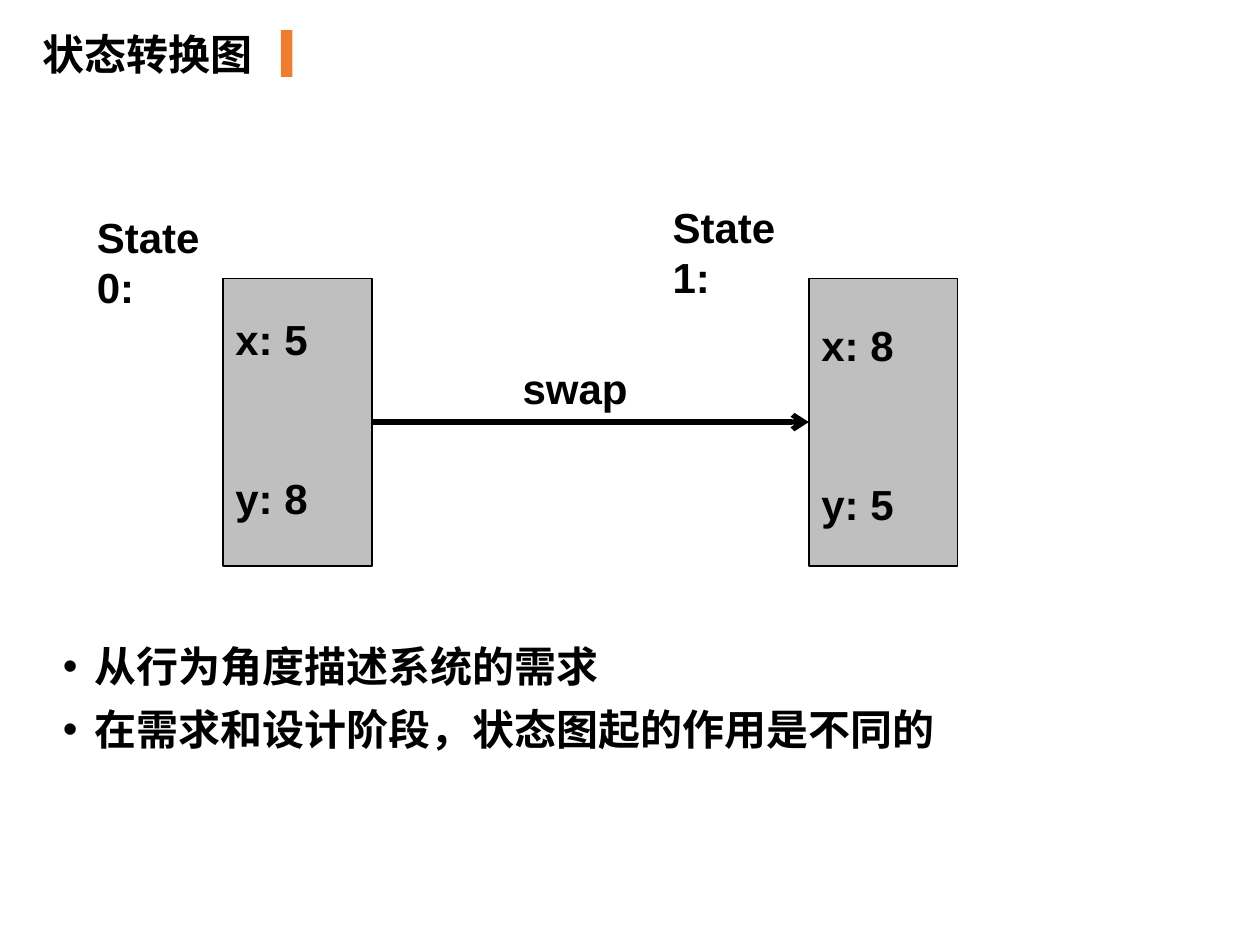
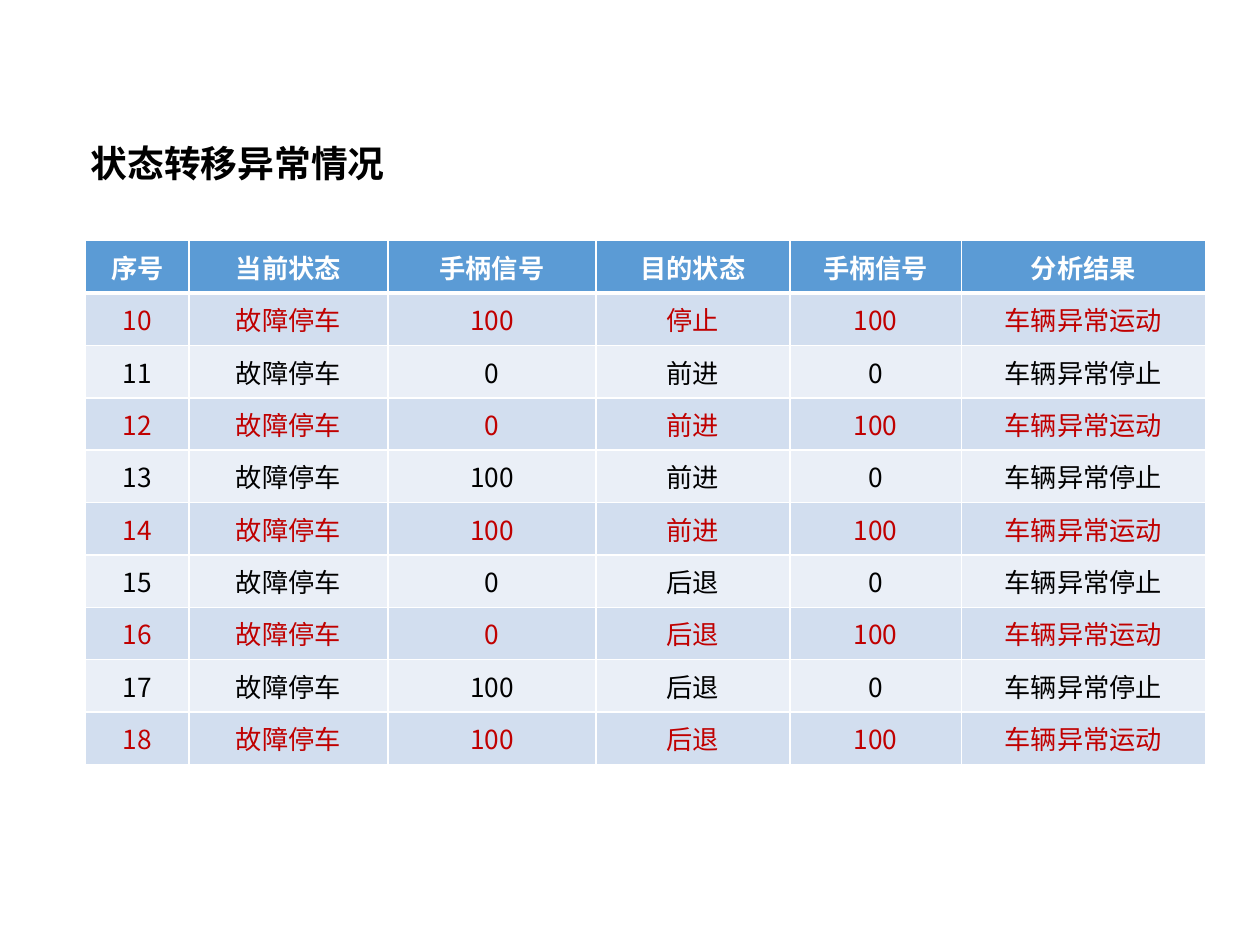
from lxml import etree
from pptx import Presentation
from pptx.dml.color import RGBColor
from pptx.enum import shapes, text
from pptx.oxml import ns
from pptx.util import Inches, Pt

COLORS = {
    "ink": "000000", "white": "FFFFFF", "state": "BFBFBF", "accent": "ED7D31",
    "header": "5B9BD5", "band": "D2DEEF", "light": "EAEFF7", "danger": "C00000",
}
LATIN, CJK = "Arial", "Noto Sans CJK SC"

HEADERS = ["序号", "当前状态", "手柄信号", "目的状态", "手柄信号", "分析结果"]
# Handle signal before, target state, handle signal after
TRANSITIONS = [
    ("100", "停止", "100"), ("0", "前进", "0"), ("0", "前进", "100"),
    ("100", "前进", "0"), ("100", "前进", "100"), ("0", "后退", "0"),
    ("0", "后退", "100"), ("100", "后退", "0"), ("100", "后退", "100"),
]
FIRST_NUMBER = 10
COLUMN_WIDTHS = [0.82, 1.58, 1.65, 1.54, 1.36, 1.94]


def color(name):
    return RGBColor.from_string(COLORS[name])


def add_xml(parent, tag, **attributes):
    return etree.SubElement(parent, ns.qn(tag), attributes)


def style_paragraph(paragraph, size, font_name, color_name="ink", bold=True):
    for run in paragraph.runs:
        font = run.font
        font.size, font.bold, font.name = Pt(size), bold, font_name
        font.color.rgb = color(color_name)
        if font_name == CJK:
            add_xml(run._r.get_or_add_rPr(), "a:ea", typeface=font_name)


def add_text(slide, box, content, size=24, font_name=LATIN, align=None):
    """Add a text box; each line of content becomes one paragraph."""
    frame = slide.shapes.add_textbox(*map(Inches, box)).text_frame
    frame.word_wrap = True
    frame.text = content
    for paragraph in frame.paragraphs:
        paragraph.alignment = align
        style_paragraph(paragraph, size, font_name)
    return frame


def add_rectangle(slide, box, fill, outline=None):
    rectangle = slide.shapes.add_shape(shapes.MSO_SHAPE.RECTANGLE, *map(Inches, box))
    rectangle.shadow.inherit = False
    rectangle.fill.solid()
    rectangle.fill.fore_color.rgb = color(fill)
    if outline:
        rectangle.line.color.rgb = color(outline)
        rectangle.line.width = Pt(1)
    else:
        rectangle.line.fill.background()
    return rectangle


def add_state(slide, box, name, name_offset, variables, first_drop):
    """Draw a state box with its variables inside and its name up to the left."""
    left, top, width, _ = box
    rectangle = add_rectangle(slide, box, "state", "ink")
    for index, variable in enumerate(variables):
        add_text(slide, (left, top + first_drop + 1.26 * index, width, 0.5), variable)
    add_text(slide, (left + name_offset[0], top + name_offset[1], 1.34, 0.51), name)
    return rectangle


def add_transition(slide, source, target, label):
    arrow = slide.shapes.add_connector(shapes.MSO_CONNECTOR.STRAIGHT, 0, 0, 0, 0)
    arrow.begin_connect(source, 3)
    arrow.end_connect(target, 1)
    arrow.line.color.rgb = color("ink")
    arrow.line.width = Pt(3)
    add_xml(arrow.line._get_or_add_ln(), "a:tailEnd", type="arrow")
    add_xml(arrow._element.spPr, "a:effectLst")
    add_text(slide, (3.5, 2.83, 2.13, 0.5), label, align=text.PP_ALIGN.CENTER)


def add_bullets(slide, box, lines):
    frame = add_text(slide, box, "\n".join(lines), font_name=CJK)
    for index, paragraph in enumerate(frame.paragraphs):
        paragraph.line_spacing = 0.9
        if index:
            paragraph.space_before = Pt(10)
        properties = paragraph._p.get_or_add_pPr()
        properties.set("marL", str(Inches(0.25)))
        properties.set("indent", str(-Inches(0.25)))
        add_xml(properties, "a:buFont", typeface=LATIN)
        add_xml(properties, "a:buChar", char="•")


def state_diagram_slide(slide):
    before = add_state(slide, (1.77, 2.21, 1.18, 2.28), "State 0:", (-1.1, -0.58),
                       ["x: 5", "y: 8"], 0.23)
    after = add_state(slide, (6.42, 2.21, 1.18, 2.28), "State 1:", (-1.18, -0.66),
                      ["x: 8", "y: 5"], 0.28)
    add_transition(slide, before, after, "swap")
    add_bullets(slide, (0.4, 5.08, 9.2, 0.99),
                ["从行为角度描述系统的需求", "在需求和设计阶段，状态图起的作用是不同的"])
    add_text(slide, (0.24, 0.18, 4.52, 0.5), "状态转换图", font_name=CJK)
    add_rectangle(slide, (2.23, 0.24, 0.09, 0.37), "accent")


def set_borders(cell, widths):
    """Draw white borders; widths in points for left, right, top and bottom."""
    properties = cell._tc.get_or_add_tcPr()
    for side, width in zip("LRTB", widths):
        line = add_xml(properties, f"a:ln{side}", w=str(Pt(width)))
        add_xml(add_xml(line, "a:solidFill"), "a:srgbClr", val=COLORS["white"])


def fill_cell(cell, content, fill, ink, bold, borders):
    cell.text_frame.text = content
    cell.vertical_anchor = text.MSO_ANCHOR.MIDDLE
    cell.margin_left = cell.margin_right = Inches(0.07)
    cell.margin_top = cell.margin_bottom = Inches(0.04)
    paragraph = cell.text_frame.paragraphs[0]
    paragraph.alignment = text.PP_ALIGN.CENTER
    style_paragraph(paragraph, 15, CJK, ink, bold)
    set_borders(cell, borders)
    cell.fill.solid()
    cell.fill.fore_color.rgb = color(fill)


def add_transition_table(slide, left, top, height):
    rows = [HEADERS]
    for number, (signal, target, new_signal) in enumerate(TRANSITIONS, FIRST_NUMBER):
        result = "车辆异常停止" if new_signal == "0" else "车辆异常运动"
        rows.append([str(number), "故障停车", signal, target, new_signal, result])
    table = slide.shapes.add_table(
        len(rows), len(HEADERS), Inches(left), Inches(top),
        Inches(sum(COLUMN_WIDTHS)), Inches(height)).table
    for column, width in zip(table.columns, COLUMN_WIDTHS):
        column.width = Inches(width)
    for row_index, row in enumerate(rows):
        if row_index == 0:
            look = ("header", "white", True, (1, 1, 1, 3))
        elif row_index % 2:
            look = ("band", "danger", False, (1, 1, 3 if row_index == 1 else 1, 1))
        else:
            look = ("light", "ink", False, (1, 1, 1, 1))
        for column_index, content in enumerate(row):
            fill_cell(table.cell(row_index, column_index), content, *look)


def abnormal_transitions_slide(slide):
    title = add_text(slide, (0.62, 1.11, 3.62, 0.79), "状态转移异常情况", 21, CJK)
    title.paragraphs[0].line_spacing = 0.9
    add_transition_table(slide, 0.68, 1.91, 4.16)


def main():
    presentation = Presentation()
    presentation.slide_width, presentation.slide_height = Inches(10), Inches(7.5)
    for build in (state_diagram_slide, abnormal_transitions_slide):
        build(presentation.slides.add_slide(presentation.slide_layouts[6]))
    presentation.save("out.pptx")


if __name__ == "__main__":
    main()
